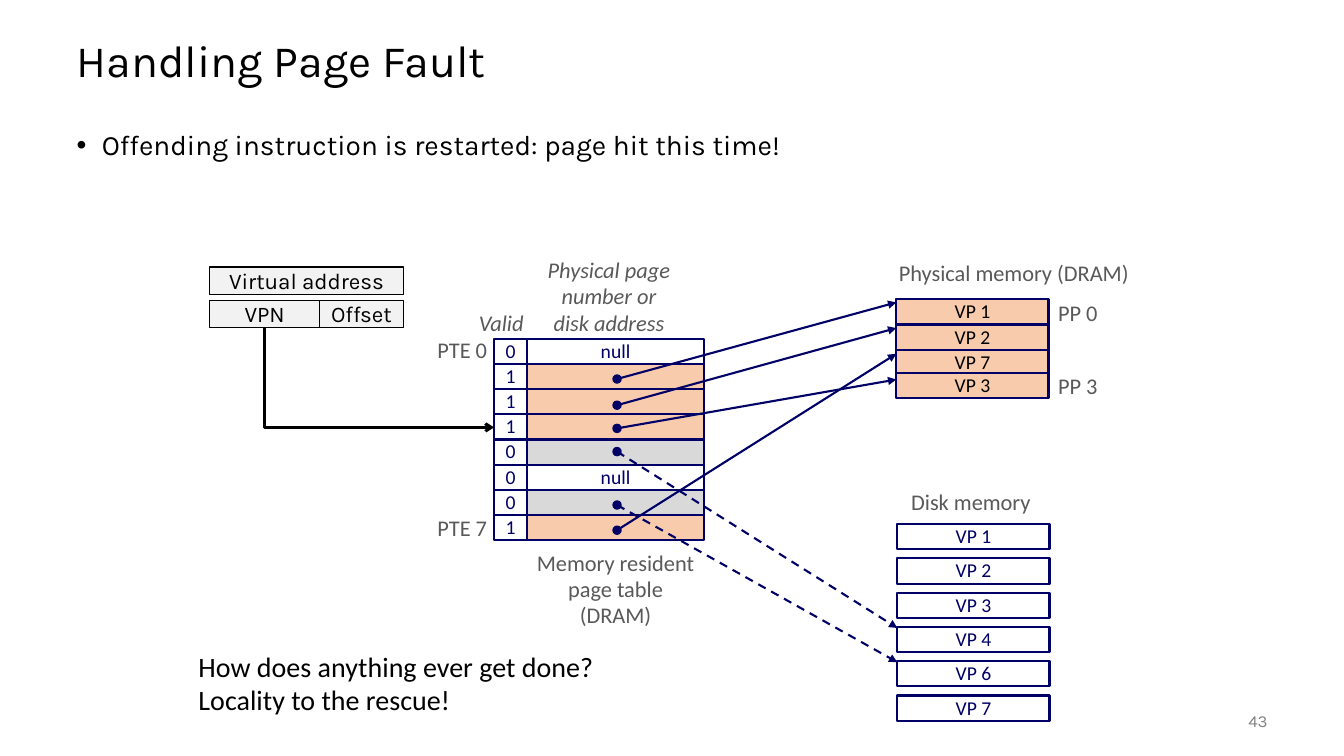
from pptx import Presentation
from pptx import util as u
from pptx.dml.color import RGBColor
from pptx.enum import dml, shapes, text
from pptx.oxml import ns, xmlchemy

INK = {"navy": "000066", "peach": "F8CBAD", "grey": "D9D9D9", "white": "FFFFFF",
       "black": "000000", "label": "595959", "pale": "F2F2F2", "page": "808080"}
LEFT, MID, RIGHT = text.PP_ALIGN.LEFT, text.PP_ALIGN.CENTER, text.PP_ALIGN.RIGHT
TOP, CENTER = text.MSO_ANCHOR.TOP, text.MSO_ANCHOR.MIDDLE
RECT, OVAL = shapes.MSO_SHAPE.RECTANGLE, shapes.MSO_SHAPE.OVAL
ROW = 0.25


def color(name):
    return RGBColor.from_string(INK[name])


def inches(*sizes):
    return [u.Inches(size) for size in sizes]


def write(frame, lines, size, ink, align=LEFT, anchor=TOP, font="Calibri",
          slant=False, space=0.98):
    """Fill a text frame, one run to each line."""
    frame.vertical_anchor = anchor
    for num, line in enumerate(lines):
        par = frame.paragraphs[0] if num == 0 else frame.add_paragraph()
        par.alignment, par.line_spacing = align, space
        par.space_before = u.Pt(0)
        run = par.add_run()
        run.text = line
        run.font.size, run.font.name = u.Pt(size), font
        run.font.italic = slant
        run.font.color.rgb = color(ink)


def label(slide, box, lines, size=16, ink="label", wrap=False, **style):
    frame = slide.shapes.add_textbox(*inches(*box)).text_frame
    frame.word_wrap = wrap
    frame.auto_size = text.MSO_AUTO_SIZE.SHAPE_TO_FIT_TEXT
    write(frame, lines, size, ink, **style)


def block(slide, box, fill, words="", ink="navy", edge="navy", width=1.5,
          size=14, kind=RECT, **style):
    """Draw a filled shape with a centred line of text."""
    shape = slide.shapes.add_shape(kind, *inches(*box))
    shape.shadow.inherit = False
    shape.fill.solid()
    shape.fill.fore_color.rgb = color(fill)
    shape.line.color.rgb = color(edge)
    shape.line.width = u.Pt(width)
    if words:
        shape.text_frame.word_wrap = False
        write(shape.text_frame, [words], size, ink, MID, CENTER, **style)


def arrow(slide, start, end, ink="navy", width=1.5, dashed=False,
          head="triangle", kind=shapes.MSO_CONNECTOR.STRAIGHT):
    link = slide.shapes.add_connector(kind, *inches(*start, *end))
    link.line.color.rgb = color(ink)
    link.line.width = u.Pt(width)
    if dashed:
        link.line.dash_style = dml.MSO_LINE.DASH
    tail = xmlchemy.OxmlElement("a:tailEnd")
    tail.set("type", head)
    link.line._get_or_add_ln().append(tail)
    props = link._element.spPr
    props.append(xmlchemy.OxmlElement("a:effectLst"))
    return props


def elbow(slide, start, end):
    """Run down from start, then right to end, as one turned connector."""
    (x1, y1), (x2, y2) = start, end
    cx, cy = (x1 + x2) / 2, (y1 + y2) / 2
    dx, dy = (x2 - x1) / 2, (y2 - y1) / 2
    props = arrow(slide, (cx + dy, cy - dx), (cx - dy, cy + dx), "black", 2,
                  head="arrow", kind=shapes.MSO_CONNECTOR.ELBOW)
    props.find(ns.qn("a:xfrm")).set("rot", str(270 * 60000))
    props.find(ns.qn("a:prstGeom")).set("prst", "bentConnector2")


def place(holder, box):
    holder.left, holder.top, holder.width, holder.height = inches(*box)
    return holder.text_frame


def heading(slide, box):
    """Title, and the list below it."""
    x, y, w, h = box
    write(place(slide.shapes.title, (x, y, w, 0.75)), ["Handling Page Fault"],
          32, "black", anchor=CENTER, font="Karla", space=0.9)
    frame = place(slide.placeholders[1], (x, y + 1, w, h - 1))
    props = frame.paragraphs[0]._p.get_or_add_pPr()
    props.set("marL", str(u.Inches(0.25)))
    props.set("indent", str(-u.Inches(0.25)))
    face, mark = xmlchemy.OxmlElement("a:buFont"), xmlchemy.OxmlElement("a:buChar")
    face.set("typeface", "Arial")
    mark.set("char", "•")
    props.extend([face, mark])
    write(frame, ["Offending instruction is restarted: page hit this time!"],
          20, "black", font="Karla", space=0.9)


def address(slide, box):
    """Virtual address split in its parts; gives the foot of the VPN."""
    x, y, w, h = box
    part, tall = 1.09, 0.27
    low = y + h - tall
    for words, spot in (("Virtual address", (x, y, w, tall)),
                        ("VPN", (x, low, part, tall)),
                        ("Offset", (x + part, low, w - part, tall))):
        block(slide, spot, "pale", words, "black", "black", 1, 16,
              font="Karla", space=1)
    return x + part / 2, y + h


def table(slide, box):
    """Page table; gives the centre of each pointer dot by row."""
    x, y, w, h = box
    flag = 0.33
    rows = [(0, None), (1, 0.15), (1, 0.16), (1, 0.14),
            (0, 0.12), (0, None), (0, 0.15), (1, 0.15)]
    dots = {}
    for num, (valid, drop) in enumerate(rows):
        top = y + num * ROW
        fill = "white" if drop is None else "peach" if valid else "grey"
        block(slide, (x + flag, top, w - flag, ROW), fill,
              "null" if drop is None else "")
        block(slide, (x, top, flag, ROW), "white", str(valid))
        if drop is not None:
            dots[num] = (x + 1.22, top + drop)
    for cx, cy in dots.values():
        block(slide, (cx - 0.04, cy - 0.04, 0.08, 0.08), "navy", width=1, kind=OVAL)
    # Labels around the table
    label(slide, (x - 0.25, y - 0.33, 0.75, 0.37), ["Valid"], wrap=True, slant=True)
    label(slide, (x + 0.41, y - 0.86, 1.46, 0.89),
          ["Physical page", "number or", "disk address"],
          align=MID, anchor=CENTER, slant=True)
    for name, top in (("PTE 0", y - 0.07), ("PTE 7", y + h - 0.3)):
        label(slide, (x - 0.67, top, 0.7, 0.37), [name], align=RIGHT, anchor=CENTER)
    label(slide, (x + 0.28, y + h + 0.05, 1.85, 0.89),
          ["Memory resident", "page table", "(DRAM)"], align=MID)
    return dots


def memory(slide, box):
    """Pages in DRAM; gives the arrow tips by page."""
    x, y, w, h = box
    label(slide, (x - 0.33, y - 0.44, 2.99, 0.37), ["Physical memory (DRAM)"],
          wrap=True, align=MID)
    tips = {}
    for num, page in enumerate((1, 2, 7, 3)):
        top = min(y + num * ROW, y + h - ROW)
        block(slide, (x, top, w, ROW), "peach", f"VP {page}", "black")
        tips[page] = (x, y + 0.03 + num * 0.255)
    for name, top in (("PP 0", y - 0.04), ("PP 3", y + h - 0.3)):
        label(slide, (x + w - 0.01, top, 0.6, 0.37), [name], align=MID, anchor=CENTER)
    return tips


def disk(slide, box):
    """Pages on disk; gives the arrow tips by page."""
    x, y, w, h = box
    label(slide, (x + 0.03, y - 0.39, 1.4, 0.37), ["Disk memory"], align=MID)
    pages = (1, 2, 3, 4, 6, 7)
    step = (h - ROW) / (len(pages) - 1)
    tips = {}
    for num, page in enumerate(pages):
        top = y + num * step
        block(slide, (x, top, w, ROW), "white", f"VP {page}")
        tips[page] = (x, top + 0.01)
    return tips


def footer(slide, box):
    """Closing remark and page number."""
    x, y, w, h = box
    label(slide, (x, y, 4.23, h),
          ["How does anything ever get done?", "Locality to the rescue!"],
          20, "black", space=1)
    label(slide, (x + w - 1, y + 0.56, 1, 0.4), ["43"], 12, "page", wrap=True,
          align=RIGHT, anchor=CENTER, font="Karla", space=1)


def main():
    deck = Presentation()
    deck.slide_width, deck.slide_height = inches(13.33, 7.5)
    slide = deck.slides.add_slide(deck.slide_layouts[1])
    heading(slide, (0.66, 0.25, 12, 2.31))
    foot = address(slide, (2.08, 2.65, 1.92, 0.6))
    dots = table(slide, (4.9, 3.36, 2.08, 2))
    ram = memory(slide, (8.89, 2.97, 1.51, 0.98))
    store = disk(slide, (8.9, 5.2, 1.51, 1.95))
    # Arrows from table rows to pages
    for row, page in ((1, 1), (2, 2), (3, 3), (7, 7)):
        arrow(slide, dots[row], ram[page])
    for row, page in ((4, 4), (6, 6)):
        arrow(slide, dots[row], store[page], dashed=True)
    elbow(slide, foot, (4.9, 4.24))
    footer(slide, (1.87, 6.39, 10.8, 0.77))
    deck.save("out.pptx")


if __name__ == "__main__":
    main()
